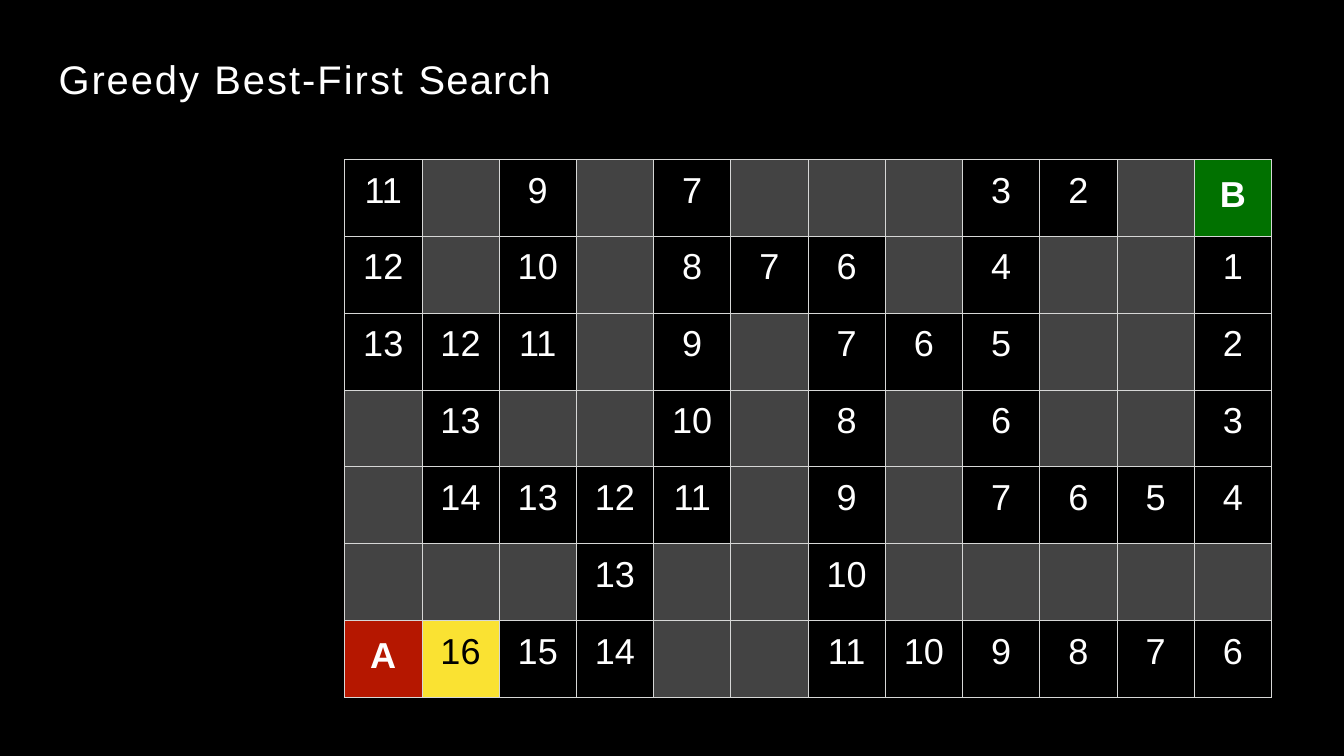
from dataclasses import dataclass

from lxml import etree
from pptx import Presentation
from pptx.dml.color import RGBColor
from pptx.enum import text
from pptx.oxml import ns
from pptx.util import Pt


@dataclass(frozen=True)
class Theme:
    font: str = "Arial"
    title_size: float = 47
    cell_size: float = 42.5
    background: str = "000000"
    light: str = "FFFFFF"
    dark: str = "000000"
    wall: str = "434343"
    start: str = "B51700"
    goal: str = "017100"
    explored: str = "FAE232"
    border: str = "D6D7D6"


THEME = Theme()

# Each number is a distance to the goal B; # is a wall.
MAZE = """
11 #  9  #  7  #  #  #  3  2  #  B
12 #  10 #  8  7  6  #  4  #  #  1
13 12 11 #  9  #  7  6  5  #  #  2
#  13 #  #  10 #  8  #  6  #  #  3
#  14 13 12 11 #  9  #  7  6  5  4
#  #  #  13 #  #  10 #  #  #  #  #
A  16 15 14 #  #  11 10 9  8  7  6
"""
SPECIAL_FILLS = {"#": THEME.wall, "A": THEME.start,
                 "B": THEME.goal, "16": THEME.explored}
TITLE_SPANS = [("Greedy ", 2.3), ("Best-First ", 2.4), ("Search", 1.4)]


def style_span(span, size, color, bold=False):
    span.font.name = THEME.font
    span.font.size = Pt(size)
    span.font.bold = bold
    span.font.color.rgb = RGBColor.from_string(color)


def set_margins(frame, top):
    frame.margin_left = frame.margin_right = frame.margin_bottom = 0
    frame.margin_top = Pt(top)


def add_title(slide):
    title = slide.shapes.title
    title.left, title.top, title.width, title.height = Pt(69), Pt(62), Pt(590), Pt(58.3)
    frame = title.text_frame
    set_margins(frame, 0)
    frame.vertical_anchor = text.MSO_ANCHOR.BOTTOM
    para = frame.paragraphs[0]
    para.alignment = text.PP_ALIGN.LEFT
    for words, spacing in TITLE_SPANS:
        span = para.add_run()
        span.text = words
        style_span(span, THEME.title_size, THEME.light)
        span.font._element.set("spc", str(round(spacing * 100)))


def add_borders(cell):
    """Draw all four borders; call before filling, as XML order matters."""
    properties = cell._tc.get_or_add_tcPr()
    for side in ("a:lnL", "a:lnR", "a:lnT", "a:lnB"):
        line = etree.SubElement(properties, ns.qn(side), w=str(Pt(1)))
        fill = etree.SubElement(line, ns.qn("a:solidFill"))
        etree.SubElement(fill, ns.qn("a:srgbClr"), val=THEME.border)


def fill_cell(cell, label):
    add_borders(cell)
    cell.fill.solid()
    cell.fill.fore_color.rgb = RGBColor.from_string(
        SPECIAL_FILLS.get(label, THEME.background))
    if label == "#":
        return
    is_endpoint = label in ("A", "B")
    set_margins(cell, 18.3 if is_endpoint else 13)
    cell.text = label
    para = cell.text_frame.paragraphs[0]
    para.alignment = text.PP_ALIGN.CENTER
    color = THEME.dark if label == "16" else THEME.light
    style_span(para.runs[0], THEME.cell_size, color, is_endpoint)


def add_maze(slide):
    labels = [line.split() for line in MAZE.strip().splitlines()]
    row_count, column_count = len(labels), len(labels[0])
    width, height = Pt(91), Pt(90.5)
    table = slide.shapes.add_table(
        row_count, column_count, Pt(406), Pt(188),
        width * column_count, height * row_count).table
    table.first_row = table.horz_banding = False
    for column in table.columns:
        column.width = width
    for row, row_labels in zip(table.rows, labels):
        row.height = height
        for cell, label in zip(row.cells, row_labels):
            fill_cell(cell, label)


def main():
    deck = Presentation()
    deck.slide_width, deck.slide_height = Pt(1583.28), Pt(890.64)
    slide = deck.slides.add_slide(deck.slide_layouts.get_by_name("Title Only"))
    slide.background.fill.solid()
    slide.background.fill.fore_color.rgb = RGBColor.from_string(THEME.background)
    add_title(slide)
    add_maze(slide)
    deck.save("out.pptx")


if __name__ == "__main__":
    main()
